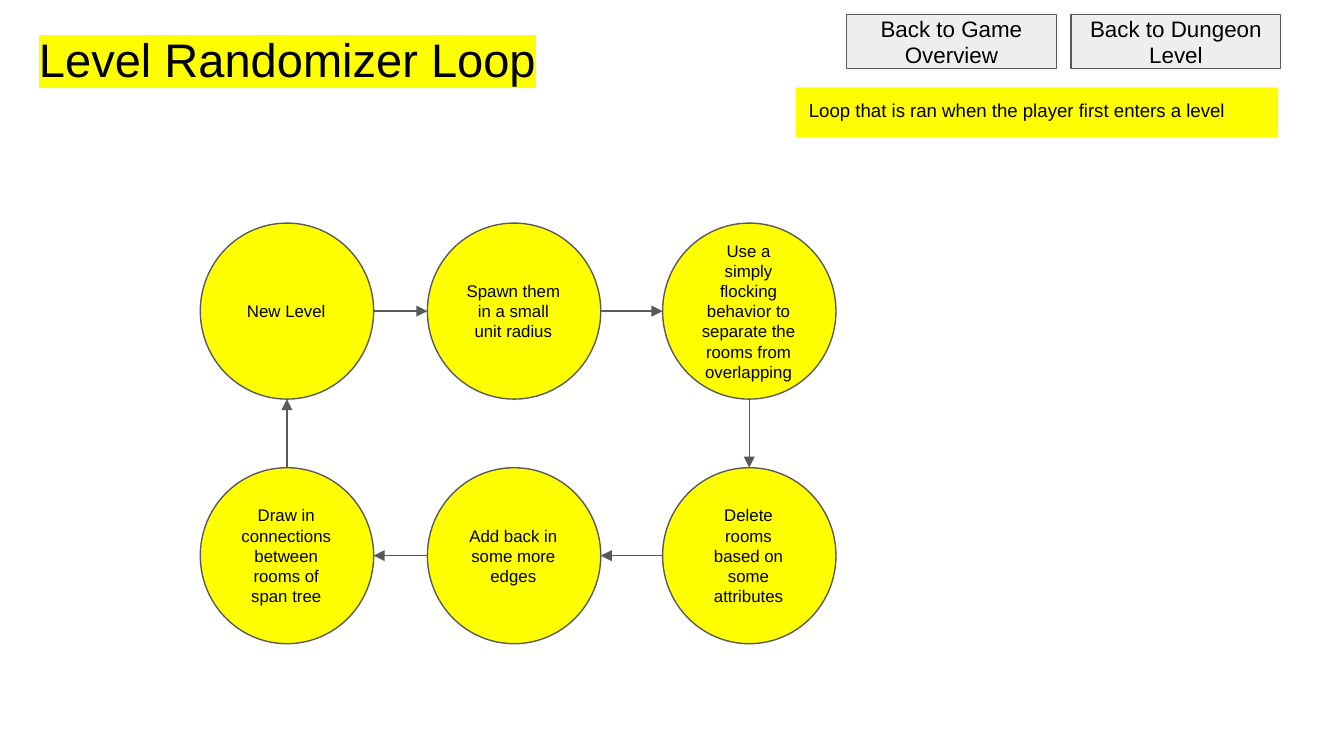
from lxml.etree import SubElement
from pptx import Presentation
from pptx.dml.color import RGBColor
from pptx.enum.shapes import MSO_CONNECTOR, MSO_SHAPE
from pptx.enum.text import MSO_ANCHOR, MSO_AUTO_SIZE, PP_ALIGN
from pptx.oxml import parse_xml
from pptx.oxml.ns import nsdecls, qn
from pptx.util import Inches, Pt

TITLE = "Level Randomizer Loop"
NOTE = "Loop that is ran when the player first enters a level"
BUTTONS = ["Back to Game Overview", "Back to Dungeon Level"]
# Steps in loop order: text, column, row
STEPS = [
    ("New Level", 0, 0),
    ("Spawn them in a small unit radius", 1, 0),
    ("Use a simply flocking behavior to separate the rooms from overlapping", 2, 0),
    ("Delete rooms based on some attributes", 2, 1),
    ("Add back in some more edges", 1, 1),
    ("Draw in connections between rooms of span tree", 0, 1),
]
SLIDE_WIDTH = 10
COLUMN_LEFTS = [1.49, 3.18, 4.93]
ROW_TOPS = [1.66, 3.48]
STEP_WIDTH, STEP_HEIGHT = 1.29, 1.31
BUTTON_LEFT, BUTTON_STEP = 6.3, 1.67

YELLOW, GREY, DARK, BLACK = "FFFF00", "EEEEEE", "595959", "000000"
CENTERED = {"align": PP_ALIGN.CENTER, "vertical_anchor": MSO_ANCHOR.MIDDLE}


def color(hex_string):
    return RGBColor.from_string(hex_string)


def write(shape, text, size, align=PP_ALIGN.LEFT, **overrides):
    frame = shape.text_frame
    settings = {
        "word_wrap": True, "auto_size": MSO_AUTO_SIZE.NONE,
        "vertical_anchor": MSO_ANCHOR.TOP,
        "margin_left": Inches(0.1), "margin_right": Inches(0.1),
        "margin_top": Inches(0.1), "margin_bottom": Inches(0.1),
    }
    for name, value in (settings | overrides).items():
        setattr(frame, name, value)
    paragraph = frame.paragraphs[0]
    paragraph.alignment = align
    run = paragraph.add_run()
    run.text = text
    run.font.size = Pt(size)
    run.font.name = "Arial"
    run.font.color.rgb = color(BLACK)
    return run


def add_box(slide, kind, box, fill, text, size, outlined=True, **text_format):
    shape = slide.shapes.add_shape(kind, *map(Inches, box))
    shape.shadow.inherit = False
    shape.fill.solid()
    shape.fill.fore_color.rgb = color(fill)
    if outlined:
        shape.line.color.rgb = color(DARK)
        shape.line.width = Pt(0.75)
    else:
        shape.line.fill.background()
    write(shape, text, size, **text_format)


def add_arrow(slide, start, end):
    arrow = slide.shapes.add_connector(MSO_CONNECTOR.STRAIGHT, *map(Inches, start + end))
    arrow.line.color.rgb = color(DARK)
    arrow.line.width = Pt(0.75)
    SubElement(arrow.line._get_or_add_ln(), qn("a:tailEnd"), type="triangle")
    SubElement(arrow._element.spPr, qn("a:effectLst"))


def edge_point(step, other):
    """Middle of the side of a step that faces a neighbouring step."""
    (_, column, row), (_, other_column, other_row) = step, other
    x_sign = (other_column > column) - (other_column < column)
    y_sign = (other_row > row) - (other_row < row)
    return (COLUMN_LEFTS[column] + STEP_WIDTH * (1 + x_sign) / 2,
            ROW_TOPS[row] + STEP_HEIGHT * (1 + y_sign) / 2)


def add_title(slide):
    title = slide.shapes.title
    title.left, title.top, title.width, title.height = map(Inches, (0.19, 0.13, 9.32, 0.63))
    run = write(title, TITLE, 25.2)
    highlight = parse_xml(
        f'<a:highlight {nsdecls("a")}><a:srgbClr val="{YELLOW}"/></a:highlight>')
    run.font._element.find(qn("a:solidFill")).addnext(highlight)


def main():
    presentation = Presentation()
    presentation.slide_width = Inches(SLIDE_WIDTH)
    presentation.slide_height = Inches(SLIDE_WIDTH * 9 / 16)
    slide = presentation.slides.add_slide(presentation.slide_layouts[5])
    add_title(slide)

    add_box(slide, MSO_SHAPE.RECTANGLE, (5.92, 0.65, 3.59, 0.37), YELLOW, NOTE, 10,
            outlined=False, auto_size=MSO_AUTO_SIZE.SHAPE_TO_FIT_TEXT)
    for index, text in enumerate(BUTTONS):
        box = (BUTTON_LEFT + index * BUTTON_STEP, 0.11, 1.56, 0.4)
        add_box(slide, MSO_SHAPE.RECTANGLE, box, GREY, text, 12, **CENTERED)

    for text, column, row in STEPS:
        box = (COLUMN_LEFTS[column], ROW_TOPS[row], STEP_WIDTH, STEP_HEIGHT)
        add_box(slide, MSO_SHAPE.OVAL, box, YELLOW, text, 9,
                margin_right=Inches(0.11), **CENTERED)
    for step, following in zip(STEPS, STEPS[1:] + STEPS[:1]):
        add_arrow(slide, edge_point(step, following), edge_point(following, step))

    presentation.save("out.pptx")


if __name__ == "__main__":
    main()
